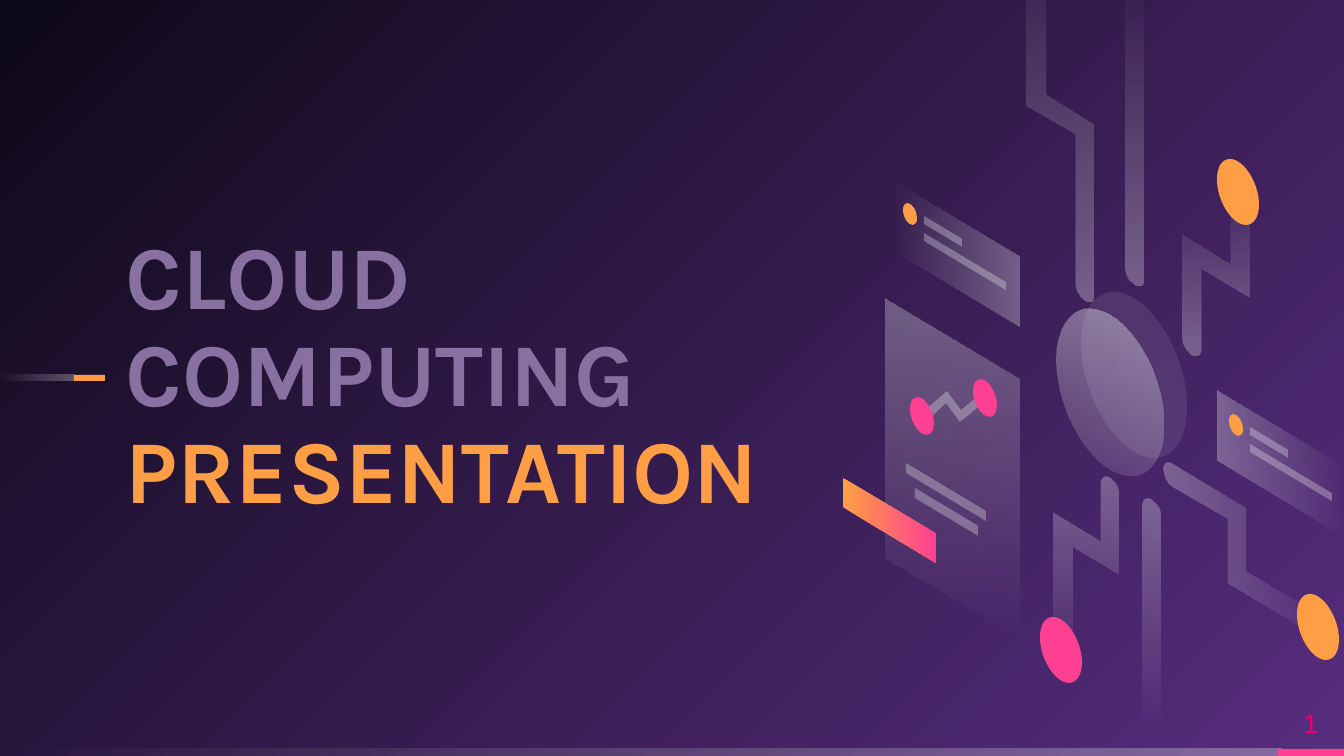
from dataclasses import dataclass
from math import atan2, cos, degrees, pi, radians, sin, tan
from typing import NamedTuple, Optional, Union

from lxml.etree import SubElement
from pptx import Presentation
from pptx.dml.color import RGBColor
from pptx.enum.shapes import MSO_SHAPE as Preset
from pptx.enum.text import MSO_ANCHOR as Anchor, PP_ALIGN as Align
from pptx.oxml.ns import qn
from pptx.util import Pt

EMU_PER_PX = 914400 / 134.4
SLOPE = 0.6  # drop per unit of width on the isometric plane

Point = tuple[float, float]


class Curve(NamedTuple):
    control_1: Point
    control_2: Point
    end: Point


class Paint(NamedTuple):
    """A solid colour, or a gradient when an end colour is given."""
    color: str
    alpha: int = 100
    end: Optional[str] = None
    end_alpha: int = 100
    angle: int = 0


def fade(angle: int, alpha: int = 29, end_alpha: int = 0) -> Paint:
    return Paint("FFFFFF", alpha, "FFFFFF", end_alpha, angle)


@dataclass(frozen=True)
class Theme:
    violet: str = "572D7E"
    night: str = "0E0918"
    lilac: str = "8870A0"
    number: str = "EF0067"
    orange: Paint = Paint("FF9E44")
    pink: Paint = Paint("FF4093")
    glass: Paint = Paint("FFFFFF", 29)
    faint: Paint = Paint("FFFFFF", 9)
    sunset: Paint = Paint("FF9E44", 100, "FF4093")
    title_font: str = "Karla"
    number_font: str = "Arial"
    title_size: int = 48
    number_size: int = 14


THEME = Theme()


class Box(NamedTuple):
    x: int
    y: int
    w: int
    h: int
    paint: Paint


class Disc(NamedTuple):
    cx: int
    cy: int
    radius: int
    paint: Paint


class Outline(NamedTuple):
    nodes: list[Union[Point, Curve]]
    paint: Paint


def px(value: float) -> int:
    return round(value * EMU_PER_PX)


def arc(cx: int, cy: int, radius: int, start: int, end: int,
        stretch: float) -> list[Union[Point, Curve]]:
    """Arc on the isometric plane, split where it is farthest out in x or y."""
    def at(t: float, reach: float = 0) -> Point:
        x, y = cos(t) - reach * sin(t), sin(t) + reach * cos(t)
        return cx + radius * x, cy + radius * (stretch * y + SLOPE * x)

    low, high = sorted((radians(start), radians(end)))
    peak = atan2(stretch, SLOPE)
    inner = [t for t in (peak - pi, 0, peak, pi, peak + pi) if low + .01 < t < high - .01]
    stops = [low, *inner, high]
    if end < start:
        stops.reverse()
    nodes = [at(stops[0])]
    for a, b in zip(stops, stops[1:]):
        reach = 4 / 3 * tan((b - a) / 4)
        nodes.append(Curve(at(a, reach), at(b, -reach), at(b)))
    return nodes


def cap(cx: int, cy: int, start: int, end: int) -> list[Union[Point, Curve]]:
    """Rounded end of a track."""
    return arc(cx, cy, 9, start, end, 1.2)


BARS = [
    Box(0, 749, 1282, 7, fade(180)),
    Box(1278, 749, 66, 7, THEME.pink),
    Box(0, 375, 75, 6, fade(180)),
    Box(74, 375, 31, 6, THEME.orange),
]
TRACKS = [
    Outline([(1046, -90), (1046, 94), (1093, 124), *cap(1084, 289, 0, 180),
             (1075, 134), (1027, 106), (1027, -90)], fade(270)),
    Outline([(1054, 513), (1054, 678), (1073, 678), (1073, 547), (1119, 575),
             *cap(1110, 489, 0, -180), (1101, 542)], fade(90)),
    Outline([(1144, -24), *cap(1135, 273, 0, 180), (1126, -24)], fade(270)),
    Outline([(1230, 173), (1230, 265), (1183, 235), *cap(1192, 344, 180, 0),
             (1201, 269), (1249, 298), (1249, 173)], fade(270)),
    Outline([(1329, 621), (1246, 571), (1246, 508), (1173, 464),
             Curve((1168, 461), (1164, 463), (1164, 469)),
             Curve((1164, 476), (1168, 484), (1173, 487)),
             (1228, 519), (1228, 583), (1320, 638), (1329, 633)], fade(0)),
    Outline([(1143, 728), *cap(1152, 511, -180, 0), (1161, 728)], fade(90)),
]
TRACK_ENDS = [
    Disc(1061, 650, 21, THEME.pink),
    Disc(1238, 192, 21, THEME.orange),
    Disc(1318, 627, 21, THEME.orange),
]
PANEL = [
    Box(886, 299, 134, 259, fade(90)),
    Box(906, 463, 80, 10, THEME.glass),
    Box(915, 488, 63, 10, THEME.glass),
    Box(843, 478, 93, 29, THEME.sunset),
]
ZIGZAG = Outline([(981, 405), (960, 422), (946, 403), (927, 421), (921, 414),
                  (947, 391), (961, 410), (976, 398)], THEME.glass)
ZIGZAG_ENDS = [Disc(985, 398, 12, THEME.pink), Disc(922, 416, 12, THEME.pink)]
COINS = [Disc(1134, 375, 53, THEME.faint), Disc(1110, 392, 53, fade(110, 40, 10))]


def apply_paint(sp, paint: Paint) -> None:
    fill = sp.fill
    if paint.end is None:
        fill.solid()
        fill.fore_color.rgb = RGBColor.from_string(paint.color)
    else:
        fill.gradient()
        fill.gradient_angle = -paint.angle % 360
        for stop, color in zip(fill.gradient_stops, (paint.color, paint.end)):
            stop.color.rgb = RGBColor.from_string(color)
    colors = sp._element.spPr.iter(qn("a:srgbClr"))
    for node, alpha in zip(colors, (paint.alpha, paint.end_alpha)):
        if alpha < 100:
            SubElement(node, qn("a:alpha")).set("val", str(alpha * 1000))
    sp.line.fill.background()
    sp.shadow.inherit = False


def draw_bar(shapes, bar: Box) -> None:
    sp = shapes.add_shape(Preset.RECTANGLE, *map(px, bar[:4]))
    apply_paint(sp, bar.paint)


def draw_outline(shapes, outline: Outline) -> None:
    """Draw straight segments, then merge each curve's three into a Bézier."""
    points = [pt for node in outline.nodes
              for pt in (node if isinstance(node, Curve) else (node,))]
    first, *rest = [(px(x), px(y)) for x, y in points]
    builder = shapes.build_freeform(*first, scale=1.0)
    builder.add_line_segments(rest, close=True)
    sp = builder.convert_to_shape()
    segments = iter(list(sp._element.iter(qn("a:lnTo"))))
    for node in outline.nodes[1:]:
        segment = next(segments)
        if isinstance(node, Curve):
            segment.tag = qn("a:cubicBezTo")
            for extra in (next(segments), next(segments)):
                segment.append(extra[0])
                extra.getparent().remove(extra)
    apply_paint(sp, outline.paint)


def draw_disc(shapes, disc: Disc) -> None:
    nodes = arc(disc.cx, disc.cy, disc.radius, 0, 360, 1.45)
    draw_outline(shapes, Outline(nodes, disc.paint))


def draw_slab(shapes, slab: Box) -> None:
    """Draw a box sheared down to the right."""
    x, y, w, h, paint = slab
    drop = SLOPE * w
    corners = [(x, y), (x + w, y + drop), (x + w, y + drop + h), (x, y + h)]
    draw_outline(shapes, Outline(corners, paint))


def draw_tile(shapes, x: int, y: int, angle: int) -> None:
    draw_slab(shapes, Box(x, y, 128, 70, fade(angle)))
    draw_slab(shapes, Box(x + 33, y + 36, 38, 8, THEME.glass))
    draw_slab(shapes, Box(x + 33, y + 53, 82, 8, THEME.glass))
    draw_disc(shapes, Disc(x + 19, y + 34, 7, THEME.orange))


def add_text(shapes, x: int, y: int, w: int, h: int):
    """Add a vertically centred text box without margins; return its paragraph."""
    tf = shapes.add_textbox(px(x), px(y), px(w), px(h)).text_frame
    tf.word_wrap = True
    tf.vertical_anchor = Anchor.MIDDLE
    tf.margin_left = tf.margin_right = tf.margin_top = tf.margin_bottom = 0
    return tf.paragraphs[0]


def add_run(p, text: str, font: str, size: int, color: str, bold: bool) -> None:
    r = p.add_run()
    r.text = text
    r.font.name, r.font.size, r.font.bold = font, Pt(size), bold
    r.font.color.rgb = RGBColor.from_string(color)


def paint_background(slide) -> None:
    fill = slide.background.fill
    fill.gradient()
    for stop, color in zip(fill.gradient_stops, (THEME.violet, THEME.night)):
        stop.color.rgb = RGBColor.from_string(color)
    linear = next(slide._element.iter(qn("a:lin")))
    grad = linear.getparent()
    grad.remove(linear)
    radial = SubElement(grad, qn("a:path"), {"path": "circle"})
    SubElement(radial, qn("a:fillToRect"), {"l": "100000", "t": "100000"})


def main() -> None:
    prs = Presentation()
    prs.slide_width, prs.slide_height = px(1344), px(756)
    slide = prs.slides.add_slide(prs.slide_layouts[6])
    paint_background(slide)
    shapes = slide.shapes
    for bar in BARS:
        draw_bar(shapes, bar)
    p = add_text(shapes, 126, 200, 747, 355)
    p.line_spacing = 0.9
    for text, color in (("CLOUD COMPUTING ", THEME.lilac),
                        ("PRESENTATION", THEME.orange.color)):
        add_run(p, text, THEME.title_font, THEME.title_size, color, True)
    for track in TRACKS:
        draw_outline(shapes, track)
    for slab in PANEL:
        draw_slab(shapes, slab)
    draw_outline(shapes, ZIGZAG)
    draw_tile(shapes, 1217, 391, 0)
    draw_tile(shapes, 891, 180, 180)
    for disc in TRACK_ENDS + ZIGZAG_ENDS + COINS:
        draw_disc(shapes, disc)
    p = add_text(shapes, 1278, 698, 66, 51)
    p.alignment = Align.CENTER
    add_run(p, "1", THEME.number_font, THEME.number_size, THEME.number, False)
    prs.save("out.pptx")


if __name__ == "__main__":
    main()
